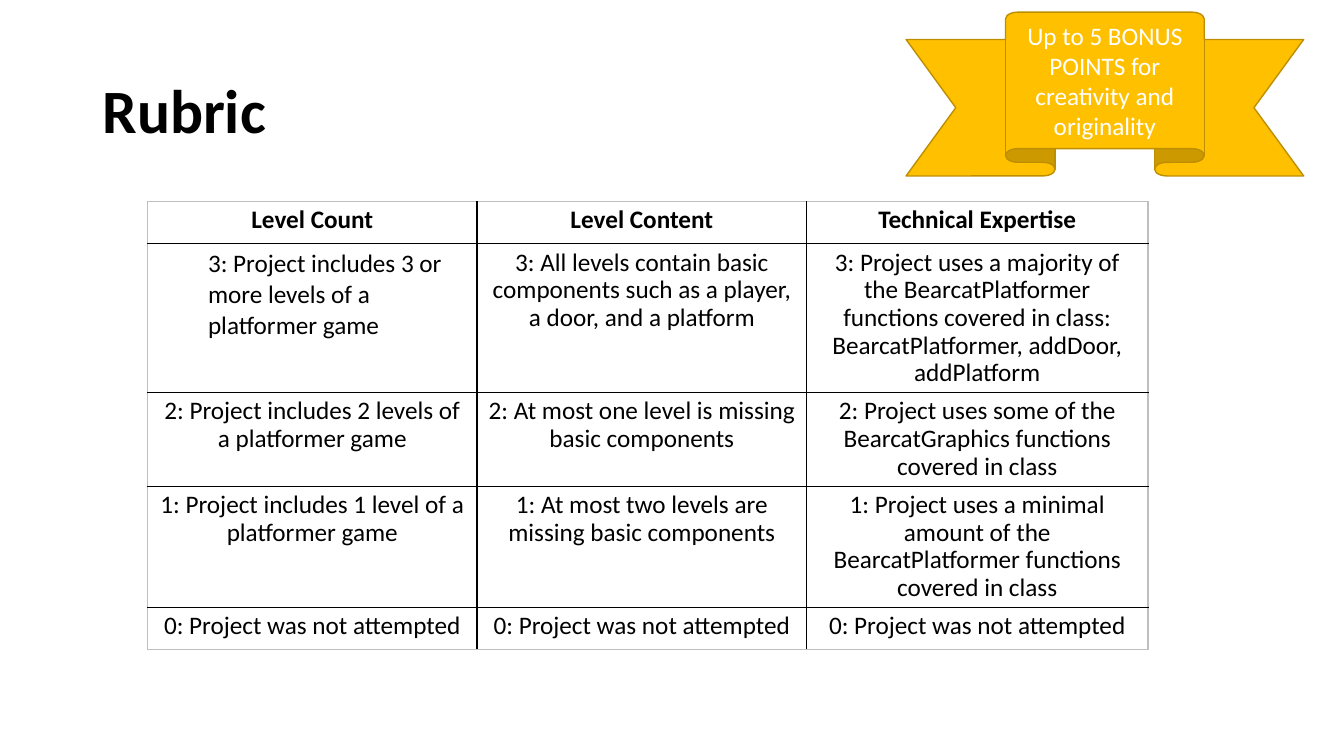
from pptx import Presentation
from pptx.dml.color import RGBColor
from pptx.enum.shapes import MSO_SHAPE as Shape
from pptx.enum.text import MSO_ANCHOR as Anchor, MSO_AUTO_SIZE as Fit, PP_ALIGN as Align
from pptx.oxml.ns import qn
from pptx.util import Pt
from lxml.etree import SubElement as Sub

TITLE = "Rubric"
BONUS = "Up to 5 BONUS POINTS for creativity and originality"
NONE = "0: Project was not attempted"
ROWS = [
    ["Level Count", "Level Content", "Technical Expertise"],
    ["3: Project includes 3 or more levels of a platformer game",
     "3: All levels contain basic components such as a player, a door, and a platform",
     "3: Project uses a majority of the BearcatPlatformer functions covered in class:\n"
     "BearcatPlatformer, addDoor, addPlatform"],
    ["2: Project includes 2 levels of a platformer game",
     "2: At most one level is missing basic components",
     "2: Project uses some of the BearcatGraphics functions covered in class"],
    ["1: Project includes 1 level of a platformer game",
     "1: At most two levels are missing basic components",
     "1: Project uses a minimal amount of the BearcatPlatformer functions covered in class"],
    [NONE, NONE, NONE],
]
WIDTHS = [235.4, 235.4, 243.8]
HEIGHTS = [30.2, 105.7, 67, 86, 30.2]
INDENT = (1, 0)

FONT = "Calibri"
BLACK = RGBColor(0, 0, 0)
WHITE = RGBColor(255, 255, 255)
GOLD = RGBColor(0xFF, 0xC0, 0x00)
BROWN = RGBColor(0xBD, 0x8E, 0x00)
GREY = RGBColor(0xBF, 0xBF, 0xBF)


def write(para, text, size, color, align, bold=False, space=0.9):
    para.alignment = align
    para.line_spacing = space
    run = para.add_run()
    run.text = text
    font = run.font
    font.name, font.size, font.bold = FONT, Pt(size), bold
    font.color.rgb = color


def edge(cell, side, color):
    line = Sub(cell._tc.get_or_add_tcPr(), qn("a:" + side), w=str(Pt(1)))
    fill = Sub(line, qn("a:solidFill"))
    Sub(fill, qn("a:srgbClr"), val=str(color))


def fill_cell(cell, row, col):
    outer = {"lnL": col == 0, "lnR": col == len(WIDTHS) - 1,
             "lnT": row == 0, "lnB": row == len(HEIGHTS) - 1}
    for side, rim in outer.items():
        edge(cell, side, GREY if rim else BLACK)
    cell.fill.background()
    frame = cell.text_frame
    for i, text in enumerate(ROWS[row][col].split("\n")):
        para = frame.add_paragraph() if i else frame.paragraphs[0]
        if (row, col) == INDENT:
            para.level = 1
            props = para._p.get_or_add_pPr()
            props.set("marL", str(Pt(36)))
            props.set("indent", "0")
            write(para, text, 18, BLACK, Align.LEFT, space=1.0)
        else:
            write(para, text, 18, BLACK, Align.CENTER, bold=row == 0)


def add_title(slide):
    title = slide.shapes.title
    title.left, title.top, title.width, title.height = Pt(66), Pt(28.8), Pt(828), Pt(104.4)
    frame = title.text_frame
    frame.auto_size = Fit.NONE
    frame.vertical_anchor = Anchor.MIDDLE
    write(frame.paragraphs[0], TITLE, 44, BLACK, Align.LEFT, bold=True)


def add_grid(slide):
    table = slide.shapes.add_table(
        len(HEIGHTS), len(WIDTHS), Pt(105.4), Pt(144),
        Pt(sum(WIDTHS)), Pt(sum(HEIGHTS))).table
    table.horz_banding = False
    table.first_row = False
    for col, width in zip(table.columns, WIDTHS):
        col.width = Pt(width)
    for row, height in zip(table.rows, HEIGHTS):
        row.height = Pt(height)
    for row in range(len(HEIGHTS)):
        for col in range(len(WIDTHS)):
            fill_cell(table.cell(row, col), row, col)


def add_bonus(slide):
    ribbon = slide.shapes.add_shape(
        Shape.UP_RIBBON, Pt(647.2), Pt(8.7), Pt(284), Pt(117))
    ribbon.shadow.inherit = False
    ribbon.fill.solid()
    ribbon.fill.fore_color.rgb = GOLD
    ribbon.line.color.rgb = BROWN
    ribbon.line.width = Pt(1)
    frame = ribbon.text_frame
    frame.word_wrap = True
    frame.vertical_anchor = Anchor.MIDDLE
    write(frame.paragraphs[0], BONUS, 18, WHITE, Align.CENTER, space=1.0)


def main():
    deck = Presentation()
    deck.slide_width, deck.slide_height = Pt(960), Pt(540)
    slide = deck.slides.add_slide(deck.slide_layouts[5])
    add_title(slide)
    add_grid(slide)
    add_bonus(slide)
    deck.save("out.pptx")


if __name__ == "__main__":
    main()
